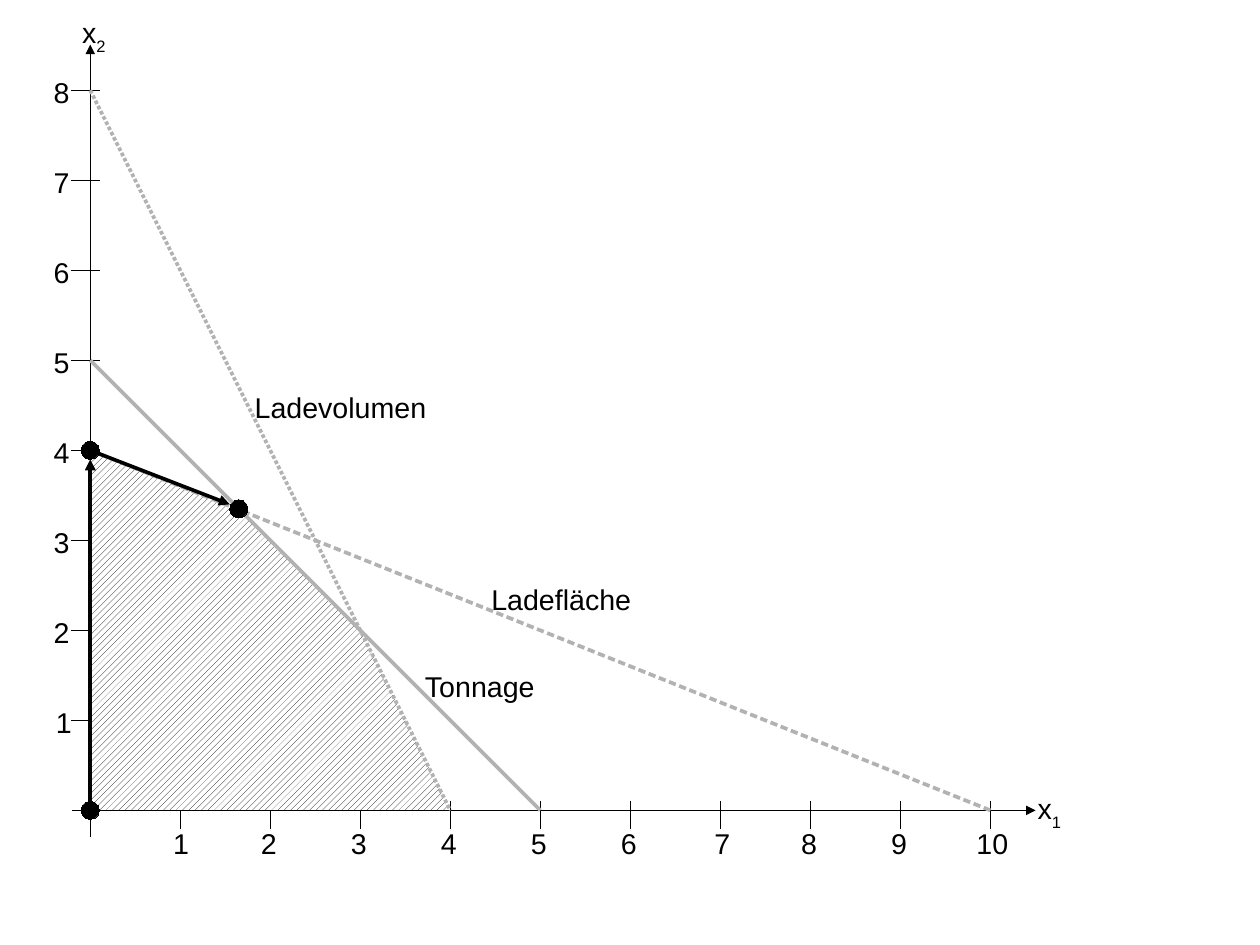
from lxml import etree
from pptx import Presentation
from pptx.dml.color import RGBColor
from pptx.enum import dml, shapes, text
from pptx.oxml.ns import qn
from pptx.util import Inches, Pt

BLACK = RGBColor(0x00, 0x00, 0x00)
WHITE = RGBColor(0xFF, 0xFF, 0xFF)
GREY = RGBColor(0xB2, 0xB2, 0xB2)

SLIDE_WIDTH = Inches(28 / 2.54)
SLIDE_HEIGHT = Inches(21 / 2.54)
ORIGIN_X, ORIGIN_Y = 0.79, 7.09
UNIT = 6.3 / 8
TICK = 0.08
DOT_SIZE = 0.16
THICK = 2.3
X_NUDGES = {1: 0.02, 7: 0.03, 10: -0.04}
Y_NUDGES = {1: 0.02}


def locate(x, y):
    return ORIGIN_X + x * UNIT, ORIGIN_Y - y * UNIT


def set_attributes(target, values):
    for name, value in values.items():
        setattr(target, name, value)


def style_outline(shape, color, width):
    shape.line.color.rgb = color
    outline = shape.element.spPr.find(qn("a:ln"))
    outline.set("w", str(int(Pt(width))))
    return outline


def add_line(slide, start, end, color=BLACK, width=0, dash=None, arrow=False):
    ends = [Inches(value) for value in (*start, *end)]
    connector = slide.shapes.add_connector(shapes.MSO_CONNECTOR.STRAIGHT, *ends)
    outline = style_outline(connector, color, width)
    if dash:
        pattern = etree.SubElement(outline, qn("a:custDash"))
        length, gap = dash
        etree.SubElement(
            pattern, qn("a:ds"), d=str(length * 1000), sp=str(gap * 1000)
        )
    if arrow:
        etree.SubElement(outline, qn("a:tailEnd"), type="triangle")
    etree.SubElement(connector.element.spPr, qn("a:effectLst"))


def add_label(slide, left, top, wording, width=0.34, height=0.38, subscript=None):
    box = slide.shapes.add_textbox(
        Inches(left), Inches(top), Inches(width), Inches(height)
    )
    frame = box.text_frame
    set_attributes(
        frame,
        {"word_wrap": False, "auto_size": text.MSO_AUTO_SIZE.SHAPE_TO_FIT_TEXT},
    )
    paragraph = frame.paragraphs[0]
    for part in filter(None, (wording, subscript)):
        run = paragraph.add_run()
        run.text = part
        set_attributes(run.font, {"name": "Arial", "size": Pt(18)})
        run.font.color.rgb = BLACK
    if subscript:
        list(box.element.iter(qn("a:rPr")))[-1].set("baseline", "-33000")


def add_dot(slide, point):
    x, y = locate(*point)
    shape = slide.shapes.add_shape(
        shapes.MSO_SHAPE.OVAL,
        Inches(x - DOT_SIZE / 2),
        Inches(y - DOT_SIZE / 2),
        Inches(DOT_SIZE),
        Inches(DOT_SIZE),
    )
    shape.shadow.inherit = False
    shape.fill.solid()
    shape.fill.fore_color.rgb = BLACK
    style_outline(shape, BLACK, 0)


def add_region(slide, corners):
    points = [tuple(map(Inches, locate(*corner))) for corner in corners]
    builder = slide.shapes.build_freeform(*points[0])
    builder.add_line_segments(points[1:], close=True)
    shape = builder.convert_to_shape()
    shape.shadow.inherit = False
    shape.line.fill.background()
    shape.fill.patterned()
    shape.fill.pattern = dml.MSO_PATTERN.WIDE_UPWARD_DIAGONAL
    shape.fill.fore_color.rgb = BLACK
    shape.fill.back_color.rgb = WHITE


def add_axes(slide):
    add_line(slide, (0.63, ORIGIN_Y), (9.06, ORIGIN_Y), arrow=True)
    add_line(slide, (ORIGIN_X, 7.32), (ORIGIN_X, 0.39), arrow=True)
    add_label(slide, 8.98, 6.87, "x", 0.45, 0.44, "1")
    add_label(slide, 0.62, 0.08, "x", 0.45, 0.44, "2")
    for number in range(1, 11):
        x, y = locate(number, 0)
        add_line(slide, (x, y - TICK), (x, y + 2 * TICK))
        left = x - 0.18 + X_NUDGES.get(number, 0)
        add_label(slide, left, 7.18, str(number), 0.34 if number < 10 else 0.48)
    for number in range(1, 9):
        x, y = locate(0, number)
        add_line(slide, (x - 2 * TICK, y), (x + TICK, y))
        add_label(slide, 0.37 + Y_NUDGES.get(number, 0), y - 0.18, str(number))


def main():
    presentation = Presentation()
    presentation.slide_width = SLIDE_WIDTH
    presentation.slide_height = SLIDE_HEIGHT
    slide = presentation.slides.add_slide(presentation.slide_layouts[6])

    add_axes(slide)
    add_region(slide, [(0, 0), (4, 0), (3, 2), (1.7, 3.3), (0, 4)])

    constraints = [
        ((0, 5), (5, 0), None),
        ((0, 4), (10, 0), (200, 100)),
        ((0, 8), (4, 0), (100, 60)),
    ]
    for start, end, dash in constraints:
        add_line(slide, locate(*start), locate(*end), GREY, THICK, dash)

    for left, top, width, name in [
        (3.62, 5.8, 1.16, "Tonnage"),
        (4.2, 5.04, 1.42, "Ladefläche"),
        (2.13, 3.36, 1.7, "Ladevolumen"),
    ]:
        add_label(slide, left, top, name, width)

    for point in [(0, 0), (0, 4), (1.65, 3.35)]:
        add_dot(slide, point)
    for start, end in [((0, 0.1), (0, 3.9)), ((0, 4), (1.55, 3.4))]:
        add_line(slide, locate(*start), locate(*end), BLACK, THICK, arrow=True)

    presentation.save("out.pptx")


if __name__ == "__main__":
    main()
